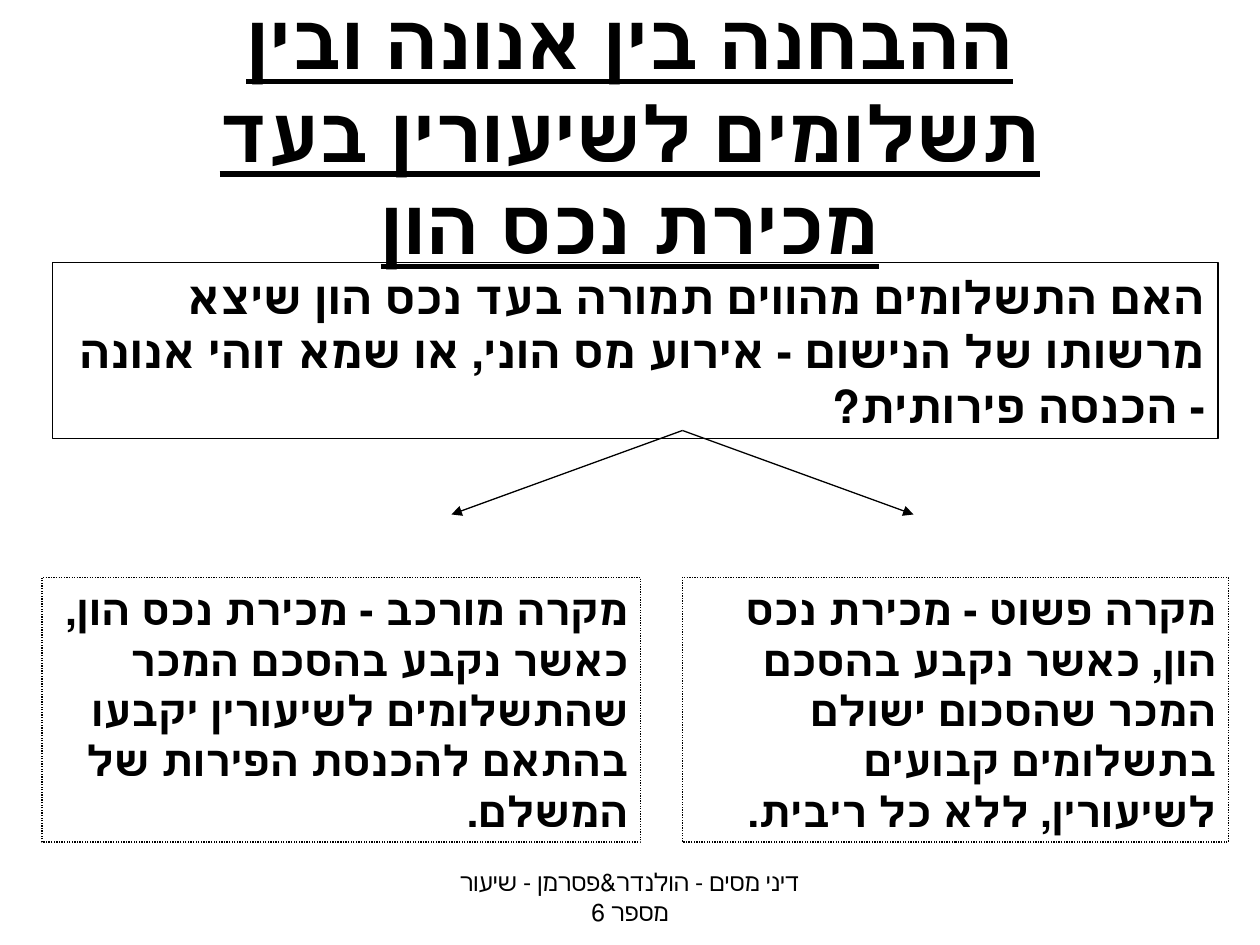
from lxml.etree import SubElement
from pptx import Presentation
from pptx.dml.color import RGBColor
from pptx.enum.dml import MSO_LINE
from pptx.enum.shapes import MSO_CONNECTOR, MSO_SHAPE
from pptx.enum.text import MSO_ANCHOR, MSO_AUTO_SIZE, PP_ALIGN
from pptx.oxml.ns import qn
from pptx.util import Inches, Pt

BLACK = RGBColor(0, 0, 0)
FONT = "Times New Roman"
LINE_WIDTH = Pt(0.75)

# The slide is laid out on a grid of twelfths of an inch.
COLUMNS, ROWS = 120, 90
CELL = Inches(10) // COLUMNS

TITLE = "ההבחנה בין אנונה ובין תשלומים לשיעורין בעד מכירת נכס הון"
QUESTION = ("האם התשלומים מהווים תמורה בעד נכס הון שיצא מרשותו של הנישום - "
            "אירוע מס הוני, או שמא זוהי אנונה - הכנסה פירותית?")
SIMPLE_CASE = ("מקרה פשוט - מכירת נכס הון, כאשר נקבע בהסכם המכר שהסכום ישולם "
               "בתשלומים קבועים לשיעורין, ללא כל ריבית.")
COMPLEX_CASE = ("מקרה מורכב - מכירת נכס הון, כאשר נקבע בהסכם המכר שהתשלומים "
                "לשיעורין יקבעו בהתאם להכנסת הפירות של המשלם.")
FOOTER = "דיני מסים - הולנדר&פסרמן - שיעור מספר 6"


def grid(*cells):
    return [round(cell * CELL) for cell in cells]


def write_hebrew(frame, text, size, align, anchor=MSO_ANCHOR.TOP,
                 bold=True, underline=False):
    """Write one right-to-left paragraph."""
    frame.word_wrap = True
    frame.auto_size = MSO_AUTO_SIZE.NONE
    frame.vertical_anchor = anchor
    paragraph = frame.paragraphs[0]
    paragraph.alignment = align
    paragraph._p.get_or_add_pPr().set("rtl", "1")
    run = paragraph.add_run()
    run.text = text
    font = run.font
    font.name, font.size = FONT, Pt(size)
    font.bold, font.underline = bold, underline
    font.color.rgb = BLACK


def add_title(slide):
    title = slide.shapes.title
    title.left, title.top, title.width, title.height = grid(9, 5, 102, 15)
    write_hebrew(title.text_frame, TITLE, 44, PP_ALIGN.CENTER,
                 MSO_ANCHOR.MIDDLE, underline=True)


def add_framed_text(slide, cells, text, size, dash=None):
    box = slide.shapes.add_shape(MSO_SHAPE.RECTANGLE, *grid(*cells))
    box.shadow.inherit = False
    box.fill.background()
    box.line.color.rgb = BLACK
    box.line.width = LINE_WIDTH
    if dash is not None:
        box.line.dash_style = dash
    write_hebrew(box.text_frame, text, size, PP_ALIGN.RIGHT)


def add_arrow(slide, start, end):
    arrow = slide.shapes.add_connector(MSO_CONNECTOR.STRAIGHT,
                                       *grid(*start, *end))
    arrow.line.color.rgb = BLACK
    arrow.line.width = LINE_WIDTH
    SubElement(arrow.line._get_or_add_ln(), qn("a:tailEnd"), type="triangle")
    SubElement(arrow._element.spPr, qn("a:effectLst"))


def add_footer(slide):
    footer = slide.shapes.add_textbox(*grid(41, 82, 38, 6))
    write_hebrew(footer.text_frame, FOOTER, 14, PP_ALIGN.CENTER, bold=False)


def main():
    deck = Presentation()
    deck.slide_width, deck.slide_height = grid(COLUMNS, ROWS)
    slide = deck.slides.add_slide(deck.slide_layouts[5])

    add_title(slide)
    add_framed_text(slide, (5, 25, 111, 16.8), QUESTION, 26)
    cases = [(65, 52, SIMPLE_CASE, 87), (4, 57, COMPLEX_CASE, 43)]
    for left, width, text, arrow_end in cases:
        add_framed_text(slide, (left, 55, width, 25.2), text, 24,
                        MSO_LINE.ROUND_DOT)
        add_arrow(slide, (65, 41), (arrow_end, 49))
    add_footer(slide)

    deck.save("out.pptx")


if __name__ == "__main__":
    main()
